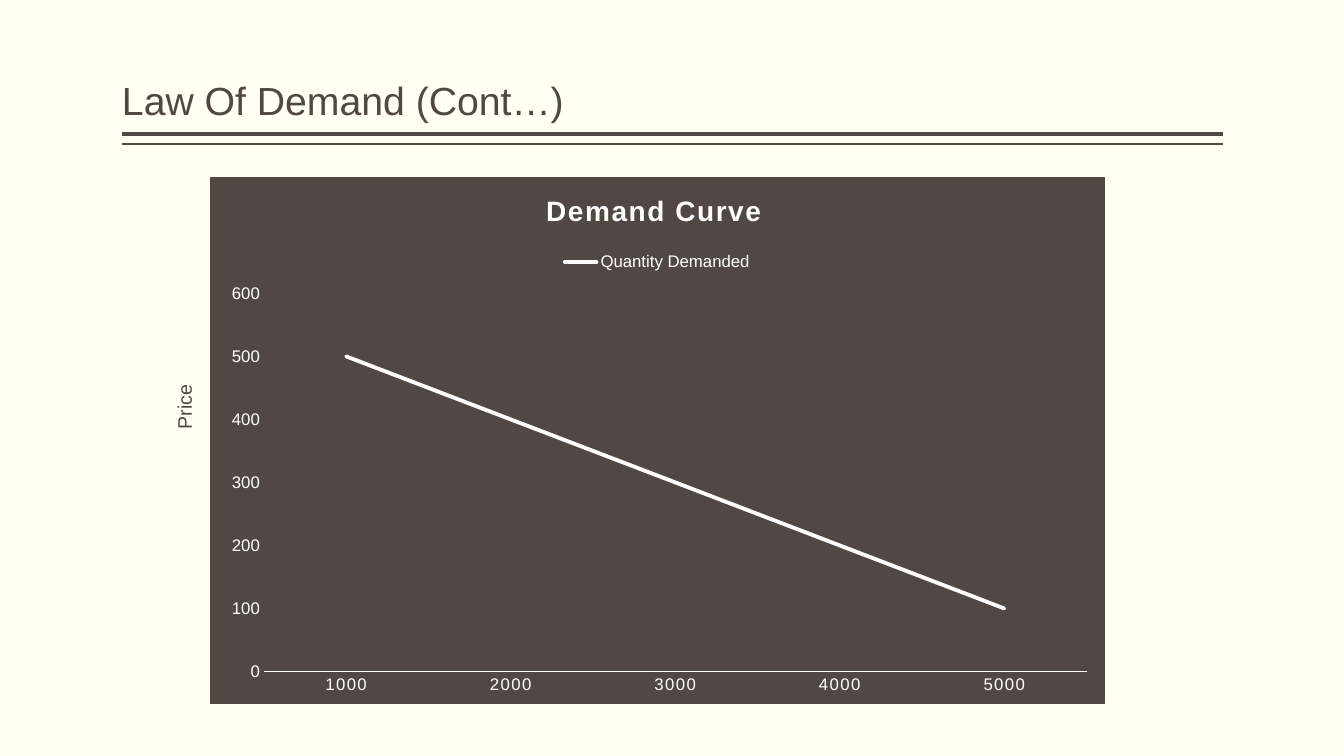
"""Build the Law of Demand slide with its demand curve chart."""
import pptx
import pptx.chart.data
import pptx.dml.color
import pptx.enum.chart
import pptx.enum.shapes
import pptx.enum.text
import pptx.oxml
import pptx.oxml.ns
import pptx.util

Inches, Pt, qn = pptx.util.Inches, pptx.util.Pt, pptx.oxml.ns.qn
COLORS = {"paper": "FFFFF3", "brown": "514843", "white": "FFFFFF"}
RGB = {k: pptx.dml.color.RGBColor.from_string(v) for k, v in COLORS.items()}


def add_text(s, text, box, size, anchor="TOP", vert="horz", wrap=True, inset=0.0, spacing=1.0):
    sp = s.shapes.add_textbox(*map(Inches, box))
    tf = sp.text_frame
    tf.word_wrap = wrap
    tf.vertical_anchor = pptx.enum.text.MSO_ANCHOR[anchor]
    tf.margin_left = tf.margin_right = Inches(inset)
    tf.margin_top = tf.margin_bottom = Inches(0.05)
    tf._txBody.bodyPr.set("vert", vert)
    p = tf.paragraphs[0]
    p.line_spacing = spacing
    r = p.add_run()
    r.text = text
    r.font.name, r.font.size = "Arial", Pt(size)
    r.font.color.rgb = RGB["brown"]


def place(element, index, **fractions):
    for old in element.findall(qn("c:layout")):
        element.remove(old)
    target = '<c:layoutTarget val="inner"/>' if index == 0 else ""
    modes = "".join(f'<c:{k}Mode val="edge"/>' for k in "xy")
    values = "".join(f'<c:{k} val="{v}"/>' for k, v in fractions.items())
    element.insert(index, pptx.oxml.parse_xml(
        f'<c:layout {pptx.oxml.ns.nsdecls("c")}><c:manualLayout>'
        f"{target}{modes}{values}</c:manualLayout></c:layout>"))


prs = pptx.Presentation()
prs.slide_width, prs.slide_height = Inches(13.33), Inches(7.5)
s = prs.slides.add_slide(prs.slide_layouts[6])
s.background.fill.solid()
s.background.fill.fore_color.rgb = RGB["paper"]

for y, weight in ((1.33, 3), (1.43, 1)):
    rule = s.shapes.add_connector(pptx.enum.shapes.MSO_CONNECTOR.STRAIGHT,
                                  Inches(1.21), Inches(y), Inches(12.13), Inches(y))
    rule.line.color.rgb = RGB["brown"]
    rule.line.width = Pt(weight)
    rule._element.spPr.append(pptx.oxml.parse_xml(
        f'<a:effectLst {pptx.oxml.ns.nsdecls("a")}/>'))

add_text(s, "Law Of Demand (Cont…)", (1.21, 0.08, 10.92, 1.2), 28, anchor="BOTTOM", spacing=0.9)

data = pptx.chart.data.CategoryChartData()
data.categories = ["1000", "2000", "3000", "4000", "5000"]
data.add_series("Quantity Demanded", (500, 400, 300, 200, 100))
chart = s.shapes.add_chart(pptx.enum.chart.XL_CHART_TYPE.LINE, Inches(2.08), Inches(1.76),
                           Inches(8.88), Inches(5.22), data).chart
chart.font.name, chart.font.size = "Arial", Pt(12)
chart.font.color.rgb = RGB["white"]
fill = f'<a:solidFill><a:srgbClr val="{COLORS["brown"]}"/></a:solidFill>'
chart._chartSpace.find(qn("c:chart")).addnext(pptx.oxml.parse_xml(
    f'<c:spPr {pptx.oxml.ns.nsdecls("c", "a")}>{fill}<a:ln w="9525">{fill}</a:ln></c:spPr>'))

chart.has_title = True
p = chart.chart_title.text_frame.paragraphs[0]
r = p.add_run()
r.text = "Demand Curve"
r.font.name, r.font.size, r.font.bold = "Arial", Pt(20), True
r.font.color.rgb = RGB["white"]
r.font._element.set("spc", "100")
place(chart.chart_title._element, 1, x=0.37, y=0.02)

chart.has_legend = True
chart.legend.position = pptx.enum.chart.XL_LEGEND_POSITION.TOP
chart.legend.include_in_layout = False
place(chart.legend._element, 1, x=0.39, y=0.14, w=0.22, h=0.04)
place(chart._chartSpace.chart.plotArea, 0, x=0.06, y=0.22, w=0.92, h=0.72)

for axis in (chart.category_axis, chart.value_axis):
    axis.has_major_gridlines = False
    axis.major_tick_mark = axis.minor_tick_mark = pptx.enum.chart.XL_TICK_MARK.NONE
    font = axis.tick_labels.font
    font.name, font.size = "Arial", Pt(12)
    font.color.rgb = RGB["white"]
chart.category_axis.tick_labels.font._element.set("spc", "100")
chart.category_axis.format.line.color.rgb = RGB["white"]
chart.category_axis.format.line.width = Pt(1)
chart.value_axis.format.line.fill.background()
chart.value_axis.minimum_scale, chart.value_axis.maximum_scale = 0, 600
chart.value_axis.major_unit = 100

chart.plots[0].vary_by_categories = False
curve = chart.plots[0].series[0]
curve.smooth = False
curve.marker.style = pptx.enum.chart.XL_MARKER_STYLE.NONE
curve.format.line.color.rgb = RGB["white"]
curve.format.line.width = Pt(2.75)
curve.format.line._ln.set("cap", "rnd")

add_text(s, "Price", (1.66, 3.82, 0.44, 0.54), 14, vert="vert270", wrap=False, inset=0.1)

prs.save("out.pptx")
